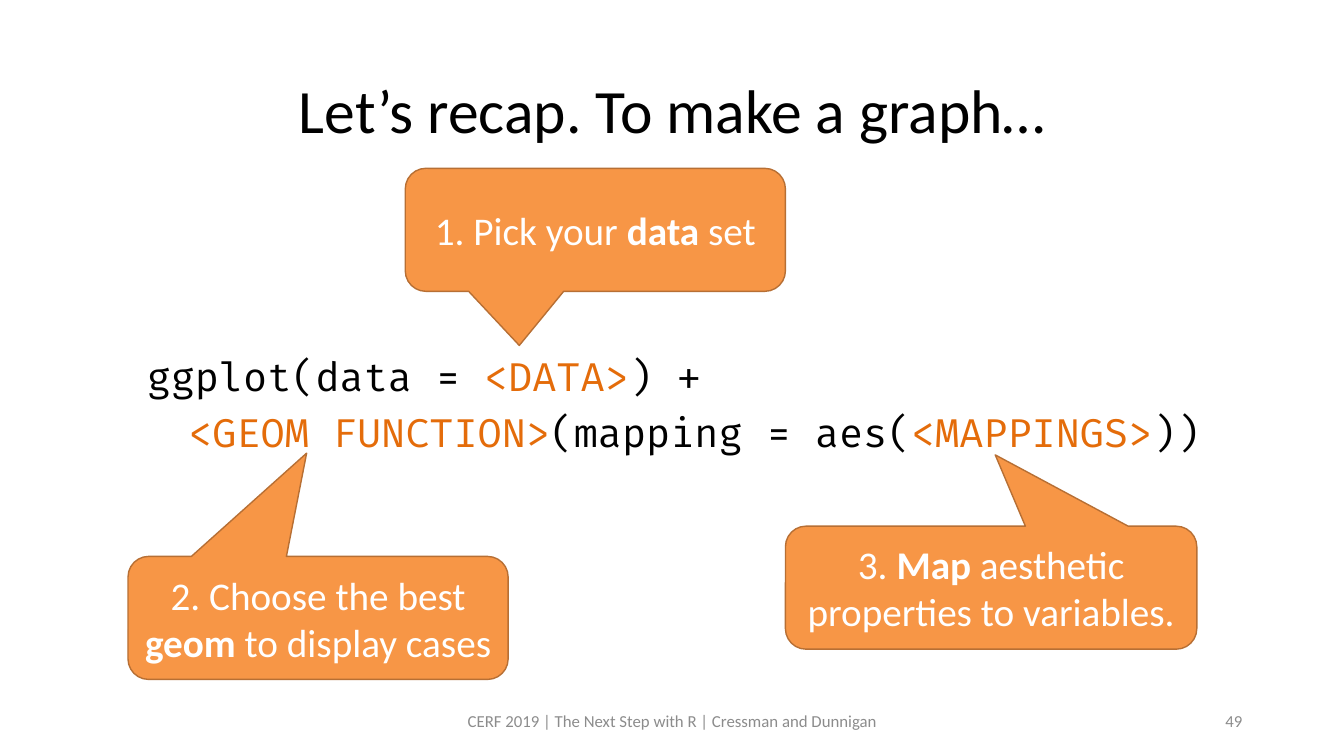
from pptx import Presentation
from pptx.dml.color import RGBColor
from pptx.enum.shapes import MSO_SHAPE
from pptx.enum.text import MSO_ANCHOR, PP_ALIGN
from pptx.util import Inches, Pt

BLACK, WHITE, GREY = "000000", "FFFFFF", "8C8C8C"
ORANGE, DARK_ORANGE, CODE_ORANGE = "F79646", "B76F34", "E46C0A"


def color(value):
    """Return the colour for a hex string."""
    return RGBColor.from_string(value)


def set_font(font, size, value, name="Calibri"):
    """Set the size, colour and typeface of a font."""
    font.size = Pt(size)
    font.color.rgb = color(value)
    font.name = name


def add_text(page, area, text, size, value, align):
    """Add a vertically centred line of text and return its paragraph."""
    box = page.shapes.add_textbox(*map(Inches, area))
    box.text_frame.word_wrap = True
    box.text_frame.vertical_anchor = MSO_ANCHOR.MIDDLE
    para = box.text_frame.paragraphs[0]
    para.text = text
    para.alignment = align
    set_font(para.font, size, value)
    return para


def add_code(page, area, lines):
    """Add code lines made of (text, colour, typeface) spans."""
    box = page.shapes.add_textbox(*map(Inches, area))
    frame = box.text_frame
    frame.word_wrap = True
    for index, spans in enumerate(lines):
        para = frame.add_paragraph() if index else frame.paragraphs[0]
        para.line_spacing = 0.9
        para.space_before = Pt(10)
        for text, value, name in spans:
            span = para.add_run()
            span.text = text
            set_font(span.font, 28, value, name)


def add_callout(page, area, tip, texts):
    """Add an orange callout whose middle text is bold."""
    box = page.shapes.add_shape(
        MSO_SHAPE.ROUNDED_RECTANGULAR_CALLOUT, *map(Inches, area))
    box.adjustments[0], box.adjustments[1] = tip
    box.shadow.inherit = False
    box.fill.solid()
    box.fill.fore_color.rgb = color(ORANGE)
    box.line.color.rgb = color(DARK_ORANGE)
    box.line.width = Pt(1)
    frame = box.text_frame
    frame.word_wrap = True
    frame.vertical_anchor = MSO_ANCHOR.MIDDLE
    para = frame.paragraphs[0]
    para.alignment = PP_ALIGN.CENTER
    set_font(para.font, 28, WHITE)
    for index, text in enumerate(texts):
        span = para.add_run()
        span.text = text
        set_font(span.font, 28, WHITE)
        span.font.bold = index == 1


def main():
    """Build the recap slide."""
    deck = Presentation()
    deck.slide_width, deck.slide_height = Inches(13.33), Inches(7.5)
    page = deck.slides.add_slide(deck.slide_layouts[6])

    title = add_text(page, (0.92, 0.4, 11.5, 1.45),
                     "Let’s recap. To make a graph…", 44, BLACK, PP_ALIGN.CENTER)
    title.line_spacing = 0.9
    add_text(page, (4.42, 6.95, 4.5, 0.4),
             "CERF 2019 | The Next Step with R | Cressman and Dunnigan",
             12, GREY, PP_ALIGN.CENTER)
    add_text(page, (9.42, 6.95, 3, 0.4), "49", 12, GREY, PP_ALIGN.RIGHT)

    code = "Fira Code"
    add_code(page, (1.27, 3.5, 11.83, 2.34), [
        [(" ", BLACK, "Calibri"), ("ggplot(data = ", BLACK, code),
         ("<DATA>", CODE_ORANGE, code), (") +", BLACK, code)],
        [("\t", BLACK, code), ("<GEOM FUNCTION>", CODE_ORANGE, code),
         ("(mapping = aes(", BLACK, code),
         ("<MAPPINGS>", CODE_ORANGE, code), ("))", BLACK, code)],
    ])

    callouts = [
        ((4.02, 1.67, 3.77, 1.22), (-0.2, 0.94),
         ("1. Pick your ", "data", " set")),
        ((1.27, 5.52, 3.77, 1.22), (-0.03, -1.34),
         ("2. Choose the best ", "geom", " to display cases")),
        ((7.79, 5.22, 4.08, 1.22), (0.01, -1.08),
         ("3. ", "Map", " aesthetic properties to variables.")),
    ]
    for area, tip, texts in callouts:
        add_callout(page, area, tip, texts)

    deck.save("out.pptx")


if __name__ == "__main__":
    main()
